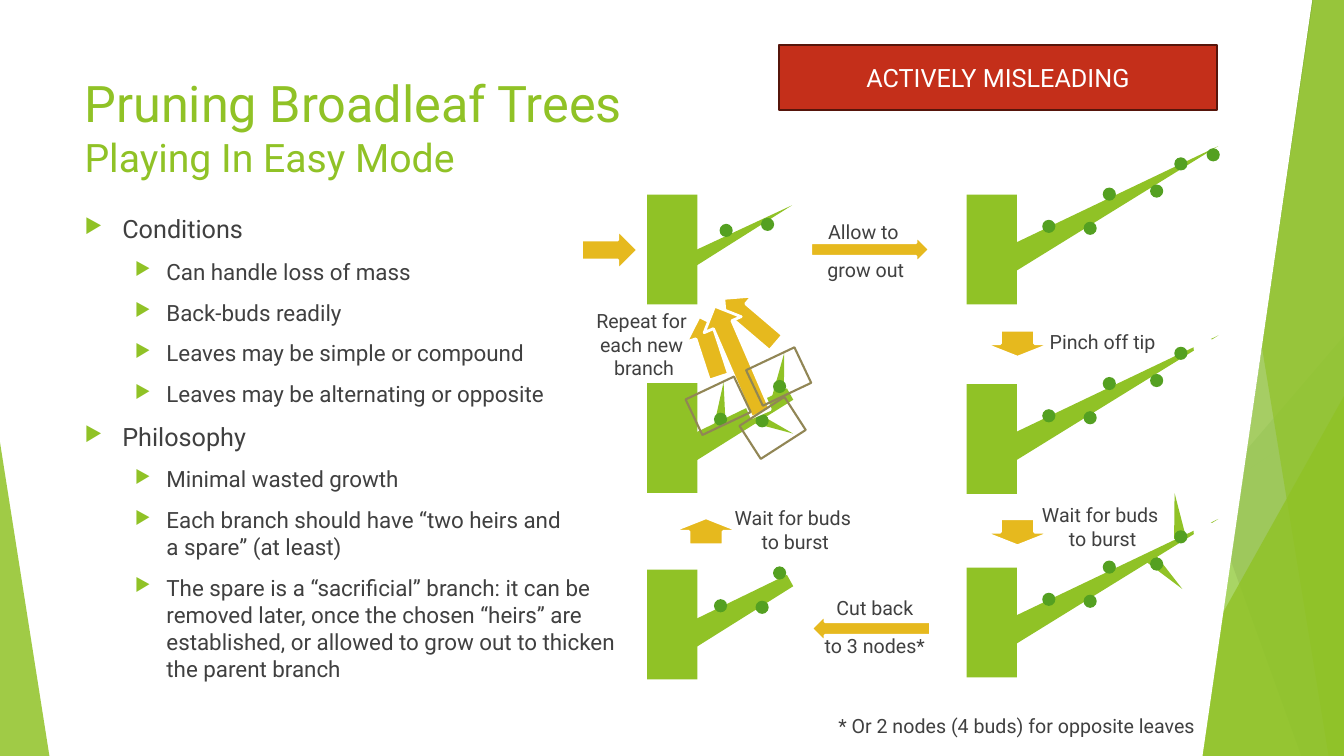
import dataclasses

import lxml.etree
import pptx
import pptx.dml.color
import pptx.enum.shapes
import pptx.enum.text
import pptx.oxml
import pptx.oxml.ns
import pptx.util

Pt = pptx.util.Pt
SHAPE = pptx.enum.shapes.MSO_SHAPE
ANCHOR = pptx.enum.text.MSO_ANCHOR
ALIGN = pptx.enum.text.PP_ALIGN


@dataclasses.dataclass(frozen=True)
class Theme:
    font: str = "Roboto"
    green: str = "90C226"
    bud: str = "54A021"
    dark_green: str = "3F7819"
    pale_green: str = "C0E474"
    arrow: str = "E6B91E"
    frame: str = "918655"
    warning: str = "C42F1A"
    warning_edge: str = "56150B"
    text: str = "404040"
    white: str = "FFFFFF"
    line_dark: str = "BFBFBF"
    line_light: str = "D9D9D9"
    title: int = 36
    subtitle: int = 28
    heading: int = 18
    item: int = 16
    label: int = 14


THEME = Theme()
WIDTH, HEIGHT = 960, 540
TRUNK_SIZE = (36, 78.5)
BUD_SIZE = (9.4, 9.4)
SHOOT_SIZE = (8.6, 32.4)
LABEL_SIZE = (126.7, 72.7)

# Parts of a branch, as offsets from the top left corner of its trunk
LONG_BRANCH = (SHAPE.ISOSCELES_TRIANGLE, 91.4, -81.4, 19.4, 179.3, 61.4)
YOUNG_BRANCH = (SHAPE.ISOSCELES_TRIANGLE, 58.3, -15.8, 11.5, 90, 61.4)
CUT_BRANCH = (SHAPE.TRAPEZOID, 55, -14.4, 18.7, 86.4, 61)
LONG_BUDS = [(54, 18), (83.5, 19.4), (97.2, -5), (131, -7.2), (148.3, -26.6), (171.4, -33.1)]
YOUNG_BUDS = [(51.8, 20.9), (81.4, 16.6)]
CUT_BUDS = [(47.8, 21.2), (77.5, 22.3), (90, -2.2)]

OUTLINE = [
    (0, "Conditions"),
    (1, "Can handle loss of mass"),
    (1, "Back-buds readily"),
    (1, "Leaves may be simple or compound"),
    (1, "Leaves may be alternating or opposite"),
    (0, "Philosophy"),
    (1, "Minimal wasted growth"),
    (1, "Each branch should have “two heirs and\na spare” (at least)"),
    (1, "The spare is a “sacrificial” branch: it can be \nremoved later, once the chosen “heirs” are \n"
        "established, or allowed to grow out to thicken\nthe parent branch"),
]


def rgb(color):
    return pptx.dml.color.RGBColor.from_string(color)


def paint(shape, fill=None, line=None, line_width=1.5, opacity=100):
    shape.shadow.inherit = False
    if fill:
        shape.fill.solid()
        shape.fill.fore_color.rgb = rgb(fill)
    else:
        shape.fill.background()
    if opacity < 100:
        color = shape.fill._xPr.find(".//" + pptx.oxml.ns.qn("a:srgbClr"))
        lxml.etree.SubElement(color, pptx.oxml.ns.qn("a:alpha"), val=str(opacity * 1000))
    if line:
        shape.line.color.rgb = rgb(line)
        shape.line.width = Pt(line_width)
    else:
        shape.line.fill.background()


def add_preset(slide, kind, left, top, width, height, rotation=0, adjust=None, **style):
    shape = slide.shapes.add_shape(kind, Pt(left), Pt(top), Pt(width), Pt(height))
    shape.rotation = rotation
    if adjust is not None:
        shape.adjustments[0] = adjust
    paint(shape, **style)
    return shape


def add_line(slide, start, end, color):
    line = slide.shapes.add_connector(
        pptx.enum.shapes.MSO_CONNECTOR.STRAIGHT, *(Pt(value) for value in start + end))
    line.line.color.rgb = rgb(color)
    line.line.width = Pt(0.75)
    lxml.etree.SubElement(line._element.spPr, pptx.oxml.ns.qn("a:effectLst"))


def add_band(slide, top_left, bottom_left, color, opacity):
    """A band from a slanted left edge to the slide's right edge."""
    builder = slide.shapes.build_freeform(Pt(top_left), 0)
    builder.add_line_segments(
        [(Pt(WIDTH), 0), (Pt(WIDTH), Pt(HEIGHT)), (Pt(bottom_left), Pt(HEIGHT))])
    paint(builder.convert_to_shape(), color, opacity=opacity)


def format_runs(paragraph, size, color):
    for run in paragraph.runs:
        run.font.name = THEME.font
        run.font.size = Pt(size)
        run.font.color.rgb = rgb(color)


def add_text(slide, left, top, width, height, paragraphs, size, color=THEME.text,
             align=ALIGN.CENTER, anchor=ANCHOR.MIDDLE):
    box = slide.shapes.add_textbox(Pt(left), Pt(top), Pt(width), Pt(height))
    frame = box.text_frame
    frame.word_wrap = True
    frame.vertical_anchor = anchor
    for index, text in enumerate(paragraphs):
        paragraph = frame.add_paragraph() if index else frame.paragraphs[0]
        paragraph.text = text
        paragraph.alignment = align
        paragraph.space_before = Pt(10)
        format_runs(paragraph, size, color)
    return frame


def add_bullet(paragraph, margin, hanging):
    properties = paragraph._p.get_or_add_pPr()
    properties.set("marL", str(Pt(margin)))
    properties.set("indent", str(-Pt(hanging)))
    color = lxml.etree.SubElement(properties, pptx.oxml.ns.qn("a:buClr"))
    lxml.etree.SubElement(color, pptx.oxml.ns.qn("a:srgbClr"), val=THEME.green)
    lxml.etree.SubElement(properties, pptx.oxml.ns.qn("a:buSzPct"), val="80000")
    lxml.etree.SubElement(properties, pptx.oxml.ns.qn("a:buChar"), char="▶")


def add_outline(slide):
    frame = add_text(slide, 53.3, 149, 795.6, 363, [text for _, text in OUTLINE],
                     THEME.item, align=ALIGN.LEFT, anchor=ANCHOR.TOP)
    for (level, _), paragraph in zip(OUTLINE, frame.paragraphs):
        paragraph.level = level
        if level == 0:
            format_runs(paragraph, THEME.heading, THEME.text)
        add_bullet(paragraph, *((58.5, 22.5) if level else (27, 27)))


def add_tree(slide, left, top, branch, buds, shoots=(), pinched=False):
    kind, x, y, width, height, rotation = branch
    add_preset(slide, kind, left + x, top + y, width, height, rotation, fill=THEME.green)
    add_preset(slide, SHAPE.RECTANGLE, left, top, *TRUNK_SIZE, fill=THEME.green)
    if pinched:
        add_preset(slide, SHAPE.OVAL, left + 162, top - 34.2, 15.1, 15.8, fill=THEME.white)
    for x, y, rotation in shoots:
        add_preset(slide, SHAPE.ISOSCELES_TRIANGLE, left + x, top + y, *SHOOT_SIZE,
                   rotation, fill=THEME.green)
    for x, y in buds:
        add_preset(slide, SHAPE.OVAL, left + x, top + y, *BUD_SIZE, fill=THEME.bud)


def add_background(slide):
    add_line(slide, (738, 0), (834, 540), THEME.line_dark)
    add_line(slide, (960, 290), (584.6, 540), THEME.line_light)
    triangle = SHAPE.ISOSCELES_TRIANGLE
    add_band(slide, 884, 723, THEME.green, 30)
    add_band(slide, 756, 851.8, THEME.green, 20)
    add_preset(slide, triangle, 703.4, 240, 256.6, 300, adjust=1, fill=THEME.bud, opacity=72)
    add_band(slide, 735, 929.5, THEME.dark_green, 70)
    add_band(slide, 938, 858.2, THEME.pale_green, 70)
    add_band(slide, 861, 949, THEME.green, 65)
    add_preset(slide, triangle, 816.5, 283, 143.5, 257, adjust=1, fill=THEME.green, opacity=80)
    add_preset(slide, triangle, 0, 316, 35.3, 224, adjust=0, fill=THEME.green, opacity=85)
    add_preset(slide, SHAPE.PARALLELOGRAM, 537.8, -1.4, 399, 541.4, adjust=0.197,
               fill=THEME.white, line=THEME.white)


def main():
    presentation = pptx.Presentation()
    presentation.slide_width, presentation.slide_height = Pt(WIDTH), Pt(HEIGHT)
    slide = presentation.slides.add_slide(presentation.slide_layouts[6])
    add_background(slide)

    # Title and outline
    title = add_text(slide, 53.3, 48.2, 795.6, 90.7,
                     ["Pruning Broadleaf Trees\nPlaying In Easy Mode"], THEME.title,
                     THEME.green, ALIGN.LEFT, ANCHOR.TOP)
    title.paragraphs[0].runs[1].font.size = Pt(THEME.subtitle)
    add_outline(slide)

    # Six stages of growth
    left_column, right_column = 462.2, 690.5
    add_tree(slide, left_column, 139, YOUNG_BRANCH, YOUNG_BUDS)
    add_tree(slide, right_column, 139, LONG_BRANCH, LONG_BUDS)
    add_tree(slide, right_column, 274.3, LONG_BRANCH, LONG_BUDS[:-1], pinched=True)
    add_tree(slide, right_column, 405.4, LONG_BRANCH, LONG_BUDS[:-1],
             [(138.2, -12.2, 134.5), (146.2, -53.3, 353.1)], pinched=True)
    add_tree(slide, left_column, 406.8, CUT_BRANCH, CUT_BUDS)
    add_tree(slide, left_column, 273.6, CUT_BRANCH, CUT_BUDS,
             [(49, -0.7, 4.9), (85, 13.7, 112.5), (91.4, -21.6, 8.1)])

    # Arrows between the stages
    for arrow in [(415.4, 164.2, 40.3, 28.8, 0), (579, 168.5, 85, 19.4, 0),
                  (717.1, 221, 19.4, 49, 90), (717.1, 355.7, 19.4, 49, 90),
                  (579.6, 439.2, 85, 19.4, 180), (494.6, 355, 19.4, 49, 270),
                  (483.8, 233.3, 45.4, 28.8, 251.9), (511.2, 214.6, 49, 28.8, 220.4),
                  (485.3, 242.6, 83.5, 28.8, 246.6)]:
        add_preset(slide, SHAPE.RIGHT_ARROW, *arrow, fill=THEME.arrow,
                   line=THEME.white, line_width=2)

    # Labels and footnote
    for left, top, paragraphs in [(555.1, 142.6, ["Allow to ", "grow out"]),
                                  (724.3, 207.4, ["Pinch off tip"]),
                                  (724.3, 339.8, ["Wait for buds \nto burst"]),
                                  (561.6, 411.1, ["Cut back", "to 3 nodes*"]),
                                  (504.7, 342, ["Wait for buds \nto burst"]),
                                  (396.7, 209.5, ["Repeat for \neach new \nbranch"])]:
        add_text(slide, left, top, *LABEL_SIZE, paragraphs, THEME.label)
    add_text(slide, 579, 497.5, 294.5, 41.8,
             ["* Or 2 nodes (4 buds) for opposite leaves"], THEME.label)

    # Frames around the new branches
    for left, top, rotation in [(537.1, 254.9, 334.7), (493.9, 275.8, 334.7),
                                (532.8, 291.6, 327.2)]:
        add_preset(slide, SHAPE.RECTANGLE, left, top, 38.2, 28.1, rotation, line=THEME.frame)

    # Warning banner
    banner = add_preset(slide, SHAPE.RECTANGLE, 556.6, 32.4, 312.5, 46.1,
                        fill=THEME.warning, line=THEME.warning_edge)
    banner.text_frame.text = "ACTIVELY MISLEADING"
    banner.text_frame.vertical_anchor = ANCHOR.MIDDLE
    banner.text_frame.paragraphs[0].alignment = ALIGN.CENTER
    format_runs(banner.text_frame.paragraphs[0], THEME.heading, THEME.white)

    presentation.save("out.pptx")


if __name__ == "__main__":
    main()
